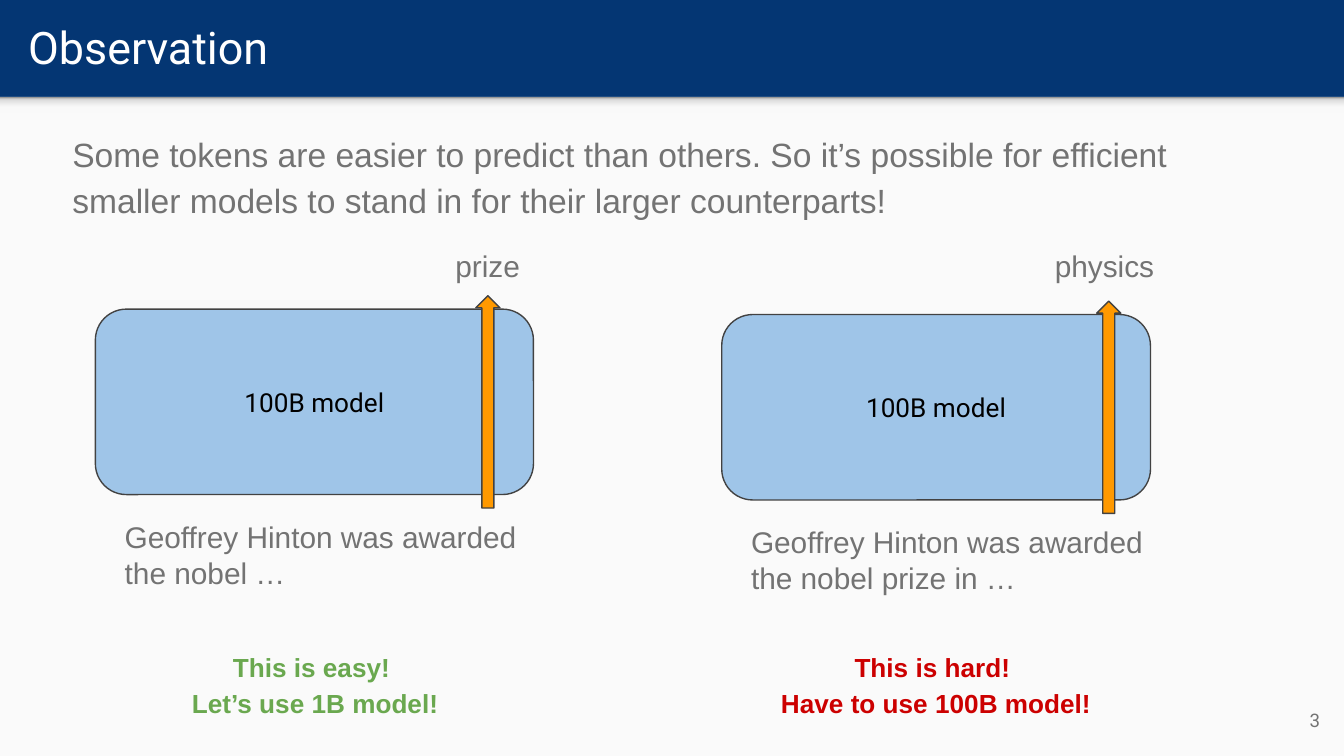
from lxml import etree
from pptx import Presentation
from pptx.dml.color import RGBColor
from pptx.enum.shapes import MSO_SHAPE as Shape
from pptx.enum.text import MSO_ANCHOR as Anchor, PP_ALIGN as Align
from pptx.oxml.ns import qn
from pptx.util import Inches, Pt

GREY = "737373"
OUTLINE = "424242"


def rgb(value):
    return RGBColor.from_string(value)


def place(item, left, top, width, height):
    item.left, item.top = Inches(left), Inches(top)
    item.width, item.height = Inches(width), Inches(height)


def write(frame, lines, size, color, font="Arial", bold=False,
          align=Align.LEFT, anchor=Anchor.TOP, spacing=1.0):
    frame.word_wrap = True
    frame.vertical_anchor = anchor
    frame.margin_left = frame.margin_right = Inches(0.1)
    frame.margin_top = frame.margin_bottom = Inches(0.1)
    for index, line in enumerate(lines):
        paragraph = frame.add_paragraph() if index else frame.paragraphs[0]
        paragraph.alignment = align
        paragraph.line_spacing = spacing
        run = paragraph.add_run()
        run.text = line
        run.font.size = Pt(size)
        run.font.name = font
        run.font.bold = bold
        run.font.color.rgb = rgb(color)


def add_text(slide, box, lines, size, color, **style):
    textbox = slide.shapes.add_textbox(*map(Inches, box))
    write(textbox.text_frame, lines, size, color, **style)


def add_block(slide, kind, box, fill, outline=None):
    block = slide.shapes.add_shape(kind, *map(Inches, box))
    block.shadow.inherit = False
    block.fill.solid()
    block.fill.fore_color.rgb = rgb(fill)
    if outline:
        block.line.color.rgb = rgb(outline)
        block.line.width = Pt(0.75)
    else:
        block.line.fill.background()
    return block


def add_header_shade(slide):
    shade = add_block(slide, Shape.RECTANGLE, (0, 0.72, 10, 0.12), "F9F9F9")
    shade.fill.gradient()
    shade.fill.gradient_angle = 90
    # Four stops, darkest right under the title bar
    stops = next(shade._element.iter(qn("a:gsLst")))
    for stop in list(stops):
        stops.remove(stop)
    for percent, color in ((0, "F9F9F9"), (36, "F9F9F9"),
                           (80, "DEDEDE"), (100, "999999")):
        stop = etree.SubElement(stops, qn("a:gs"), pos=str(percent * 1000))
        etree.SubElement(stop, qn("a:srgbClr"), val=color)


def add_example(slide, left, top, width, arrow_left, prompt, prompt_width,
                token, token_left, verdict, verdict_left, verdict_color):
    # Model with the prompt below it
    model = add_block(slide, Shape.ROUNDED_RECTANGLE,
                      (left, top, width, 1.38), "9FC5E8", OUTLINE)
    model.adjustments[0] = 0.167
    write(model.text_frame, ["100B model"], 14, "000000", font="Roboto",
          align=Align.CENTER, anchor=Anchor.MIDDLE)
    add_text(slide, (left + 0.12, top + 1.46, prompt_width, 0.8),
             [prompt], 16, GREY)

    # Arrow up to the predicted token
    arrow = add_block(slide, Shape.RIGHT_ARROW,
                      (arrow_left, top + 0.6, 1.58, 0.18), "FF9900", OUTLINE)
    arrow.rotation = 270
    add_text(slide, (token_left, 1.74, 1.35, 0.36), [token], 16, GREY)

    add_text(slide, (verdict_left, 4.71, 2.71, 0.8), verdict, 14,
             verdict_color, bold=True, align=Align.CENTER, spacing=1.15)


def main():
    deck = Presentation()
    # Widescreen 16:9
    deck.slide_width = Inches(10)
    deck.slide_height = deck.slide_width * 9 // 16
    slide = deck.slides.add_slide(deck.slide_layouts[5])

    # Navy title bar, light body
    slide.background.fill.solid()
    slide.background.fill.fore_color.rgb = rgb("043673")
    add_block(slide, Shape.RECTANGLE, (0, 0.72, 10, 4.91), "FAFAFA")
    add_header_shade(slide)

    # Title, statement and page number
    title = slide.shapes.title
    place(title, 0.11, 0.02, 9.65, 0.66)
    write(title.text_frame, ["Observation"], 24, "FFFFFF", font="Roboto",
          anchor=Anchor.MIDDLE)
    add_text(slide, (9.32, 5.14, 0.6, 0.43), ["3"], 10, GREY, font="Roboto",
             align=Align.RIGHT, anchor=Anchor.MIDDLE)
    add_text(slide, (0.44, 0.85, 8.66, 0.89),
             ["Some tokens are easier to predict than others. So it’s possible "
              "for efficient smaller models to stand in for their larger "
              "counterparts!"], 18, GREY, spacing=1.15)

    # Easy and hard predictions
    add_example(slide, left=0.71, top=2.3, width=3.26, arrow_left=2.84,
                prompt="Geoffrey Hinton was awarded the nobel …",
                prompt_width=3.13, token="prize", token_left=3.29,
                verdict=["This is easy! ", "Let’s use 1B model!"],
                verdict_left=0.99, verdict_color="6AA84F")
    add_example(slide, left=5.37, top=2.34, width=3.19, arrow_left=7.46,
                prompt="Geoffrey Hinton was awarded the nobel prize in …",
                prompt_width=3.3, token="physics", token_left=7.75,
                verdict=["This is hard! ", "Have to use 100B model!"],
                verdict_left=5.61, verdict_color="CC0000")

    deck.save("out.pptx")


if __name__ == "__main__":
    main()
